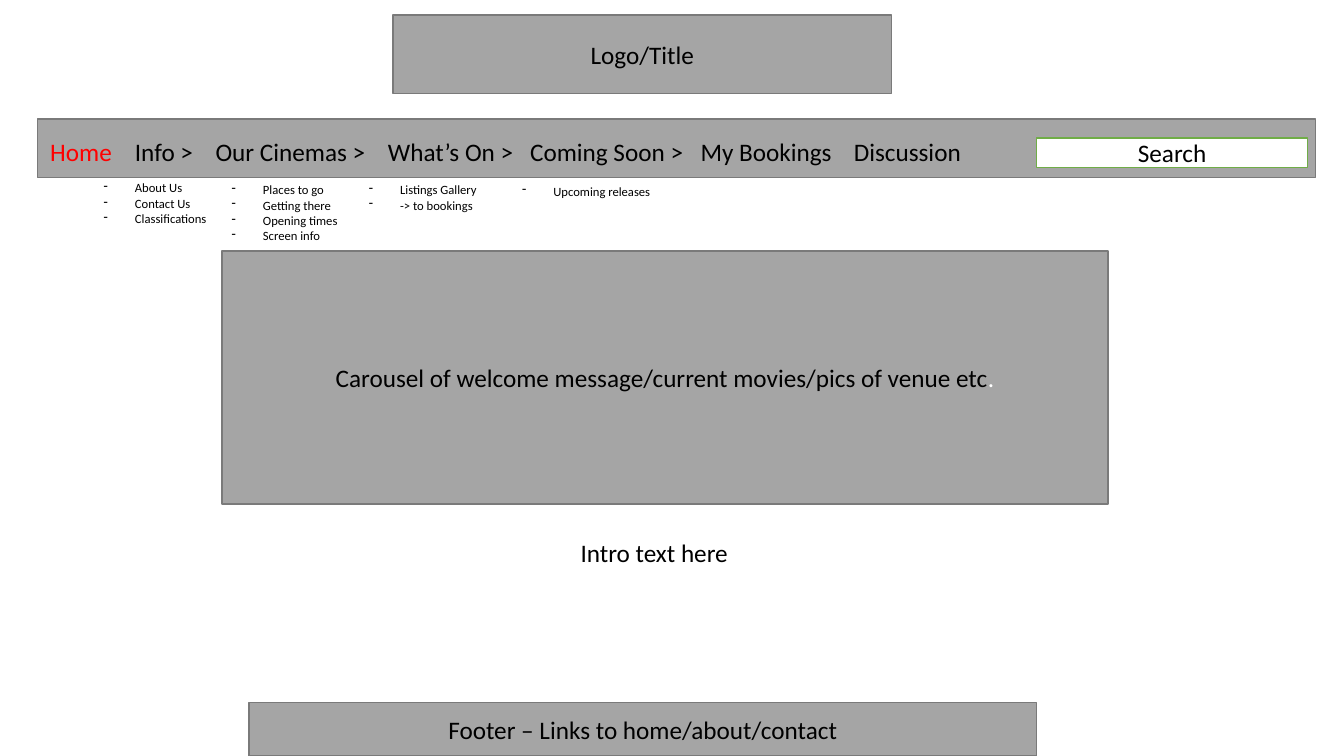
import pptx
import pptx.dml.color
import pptx.enum.shapes
import pptx.enum.text
import pptx.oxml.ns
import pptx.util
from lxml import etree

Inches = pptx.util.Inches
GREY, EDGE, BLACK, WHITE, GREEN, RED = "A5A5A5", "7A7A7A", "000000", "FFFFFF", "70AD47", "FF0000"
MENU = [("Home", 0), ("Info >", 0.84), ("Our Cinemas >", 1.64), ("What’s On >", 3.35),
        ("Coming Soon >", 4.76), ("My Bookings", 6.45), ("Discussion", 7.97)]
SUBMENUS = [
    ((0.56, 0.56, 1.32, 0.56), ["About Us", "Contact Us", "Classifications"]),
    ((1.83, 0.58, 1.58, 0.86), ["Places to go", "Getting there", "Opening times", "Screen info"]),
    ((3.19, 0.58, 1.28, 0.4), ["Listings Gallery", "-> to bookings"]),
    ((4.71, 0.59, 6.69, 0.25), ["Upcoming releases"]),
]


def rgb(colour):
    """Turn a hex string into a colour."""
    return pptx.dml.color.RGBColor.from_string(colour)


def style(font, size=18, colour=BLACK):
    """Set the typeface, size and colour of a font."""
    font.name = "Calibri"
    font.size = pptx.util.Pt(size)
    font.color.rgb = rgb(colour)


def add_child(parent, tag, **attributes):
    """Append a DrawingML element to its parent."""
    return etree.SubElement(parent, pptx.oxml.ns.qn(tag), attributes)


def add_panel(slide, box, fill=GREY, edge=EDGE):
    """Draw a flat outlined rectangle and return its centred paragraph."""
    panel = slide.shapes.add_shape(pptx.enum.shapes.MSO_SHAPE.RECTANGLE, *map(Inches, box))
    panel.shadow.inherit = False
    panel.fill.solid()
    panel.fill.fore_color.rgb = rgb(fill)
    panel.line.color.rgb = rgb(edge)
    panel.line.width = pptx.util.Pt(1)
    panel.text_frame.word_wrap = True
    panel.text_frame.vertical_anchor = pptx.enum.text.MSO_ANCHOR.MIDDLE
    label = panel.text_frame.paragraphs[0]
    label.alignment = pptx.enum.text.PP_ALIGN.CENTER
    return label


def add_label_panel(slide, box, text, fill=GREY, edge=EDGE):
    """Draw a panel with one black label."""
    label = add_panel(slide, box, fill, edge)
    label.text = text
    style(label.font)


def add_text_frame(slide, box):
    """Add a wrapping text box and return its frame."""
    frame = slide.shapes.add_textbox(*map(Inches, box)).text_frame
    frame.word_wrap = True
    frame.auto_size = pptx.enum.text.MSO_AUTO_SIZE.SHAPE_TO_FIT_TEXT
    return frame


def add_menu(slide, box):
    """Write the menu entries on one line at tab stops."""
    entries = add_text_frame(slide, box).paragraphs[0]
    stops = add_child(entries._p.get_or_add_pPr(), "a:tabLst")
    for _, offset in MENU[1:]:
        add_child(stops, "a:tab", pos=str(Inches(offset)), algn="l")
    current, *others = [name for name, _ in MENU]
    for text, colour in ((current, RED), ("\t" + "\t".join(others), BLACK)):
        run = entries.add_run()
        run.text = text
        style(run.font, colour=colour)


def add_submenu(slide, box, entries):
    """Write a dashed list of links."""
    frame = add_text_frame(slide, box)
    frame.text = "\n".join(entries)
    for entry in frame.paragraphs:
        properties = entry._p.get_or_add_pPr()
        properties.set("marL", str(Inches(0.31)))
        properties.set("indent", str(-Inches(0.31)))
        add_child(properties, "a:buFontTx")
        add_child(properties, "a:buChar", char="-")
        style(entry.font, 9)


def add_navigation(slide, box):
    """Draw the menu bar with its search field and submenus."""
    left, top, _, _ = box
    add_panel(slide, box)
    add_label_panel(slide, (left + 9.91, top + 0.19, 2.69, 0.29), "Search", WHITE, GREEN)
    add_menu(slide, (left + 0.03, top + 0.12, 9.6, 0.4))
    for (across, down, width, height), entries in SUBMENUS:
        add_submenu(slide, (left + across, top + down, width, height), entries)


def add_carousel(slide, box):
    """Draw the carousel panel, its full stop in white."""
    message = add_panel(slide, box)
    for text, colour in (("Carousel of welcome message/current movies/pics of venue etc", BLACK),
                         (".", WHITE)):
        run = message.add_run()
        run.text = text
        style(run.font, colour=colour)


def add_intro(slide, box):
    """Write the introduction line."""
    intro = add_text_frame(slide, box).paragraphs[0]
    intro.text = "Intro text here"
    style(intro.font)


def main():
    """Build the home page wireframe."""
    deck = pptx.Presentation()
    deck.slide_width, deck.slide_height = Inches(13.33), Inches(7.5)
    slide = deck.slides.add_slide(deck.slide_layouts[6])
    add_label_panel(slide, (3.9, 0.15, 4.94, 0.78), "Logo/Title")
    add_navigation(slide, (0.37, 1.18, 12.68, 0.58))
    add_carousel(slide, (2.2, 2.49, 8.79, 2.51))
    add_intro(slide, (5.66, 5.28, 2.37, 0.4))
    add_label_panel(slide, (2.47, 6.97, 7.81, 0.53), "Footer – Links to home/about/contact")
    deck.save("out.pptx")


if __name__ == "__main__":
    main()
